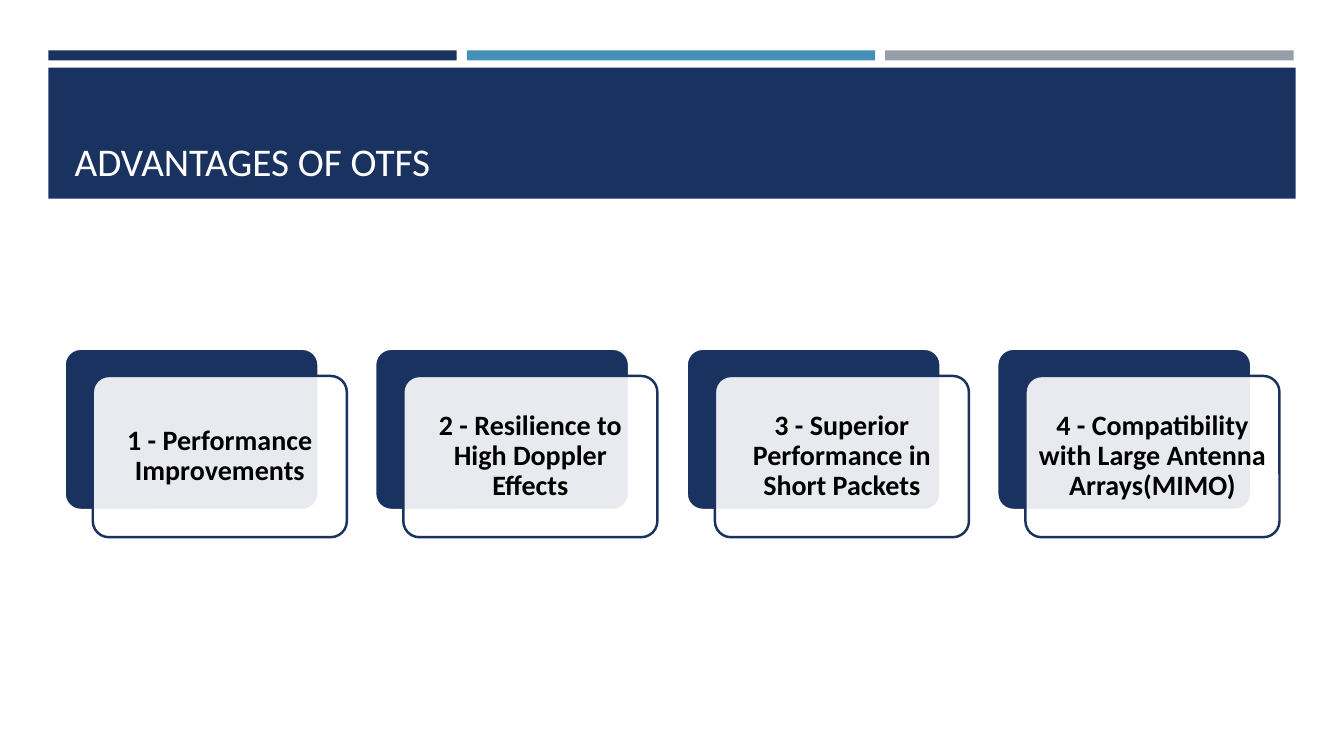
import lxml.etree
import pptx
import pptx.dml.color
import pptx.enum.shapes
import pptx.enum.text
import pptx.oxml.ns
import pptx.util

PX = 9144
COLORS = {"navy": "1A3260", "blue": "4590B8", "gray": "969FA7",
          "white": "FFFFFF", "title": "FFFEFF", "black": "000000"}
SHAPE = pptx.enum.shapes.MSO_SHAPE
ALIGN = pptx.enum.text.PP_ALIGN
ANCHOR = pptx.enum.text.MSO_ANCHOR
ADVANTAGES = [
    "1 - Performance Improvements",
    "2 - Resilience to High Doppler Effects",
    "3 - Superior Performance in Short Packets",
    "4 - Compatibility with Large Antenna Arrays(MIMO)",
]


def rgb(name):
    """Return the named colour."""
    return pptx.dml.color.RGBColor.from_string(COLORS[name])


def set_all(obj, values):
    """Set each attribute in the dict on the object."""
    for name, value in values.items():
        setattr(obj, name, value)


def add_box(shapes, kind, box, fill, line=None):
    """Add a filled shape at a px box, outlined if a line colour is given."""
    sp = shapes.add_shape(kind, *(v * PX for v in box))
    sp.shadow.inherit = False
    sp.fill.solid()
    sp.fill.fore_color.rgb = rgb(fill)
    if line:
        sp.line.color.rgb = rgb(line)
        sp.line.width = pptx.util.Pt(1.75)
    else:
        sp.line.fill.background()
    return sp


def write(sp, text, color, frame, para, font):
    """Write one formatted paragraph into a shape."""
    tf = sp.text_frame
    set_all(tf, {"word_wrap": True, **frame})
    p = tf.paragraphs[0]
    set_all(p, para)
    r = p.add_run()
    r.text = text
    set_all(r.font, {"name": "Calibri", **font})
    r.font.color.rgb = rgb(color)


def add_header(s, box):
    """Place three accent bars above the title band in the box."""
    x, y, w, h = box
    gap, bar_h, band_top = 10, 10, 17
    bar_w = (w - 2 * gap) // 3
    for i, color in enumerate(("navy", "blue", "gray")):
        add_box(s.shapes, SHAPE.RECTANGLE,
                (x + i * (bar_w + gap), y, bar_w, bar_h), color)
    add_box(s.shapes, SHAPE.RECTANGLE, (x, y + band_top, w, h - band_top), "navy")
    title = s.shapes.title
    s.shapes.element.append(title.element)
    set_all(title, {"left": (x + 16) * PX, "top": (y + 27) * PX,
                    "width": (w - 31) * PX, "height": 111 * PX})
    write(title, "ADVANTAGES OF OTFS", "title",
          {"vertical_anchor": ANCHOR.BOTTOM,
           "auto_size": pptx.enum.text.MSO_AUTO_SIZE.NONE},
          {"alignment": ALIGN.LEFT}, {"size": pptx.util.Pt(28)})


def add_card(shapes, box, text):
    """Place a translucent text card over a solid one, offset within the box."""
    x, y, w, h = box
    dx, dy = 28, 27
    size = (w - dx, h - dy)
    back = add_box(shapes, SHAPE.ROUNDED_RECTANGLE, (x, y, *size), "navy", "white")
    front = add_box(shapes, SHAPE.ROUNDED_RECTANGLE,
                    (x + dx, y + dy, *size), "white", "navy")
    for sp in (back, front):
        sp.adjustments[0] = 0.1
    qn = pptx.oxml.ns.qn
    clr = front.element.spPr.find(qn("a:solidFill"))[0]
    lxml.etree.SubElement(clr, qn("a:alpha")).set("val", "90000")
    sides = ("left", "top", "right", "bottom")
    write(front, text, "black",
          {"vertical_anchor": ANCHOR.MIDDLE,
           **{f"margin_{side}": 8 * PX for side in sides}},
          {"alignment": ALIGN.CENTER, "line_spacing": 0.9},
          {"size": pptx.util.Pt(20), "bold": True})


def add_cards(s, box):
    """Spread the advantage cards evenly across the box."""
    x, y, w, h = box
    card_w = 280
    step = (w - card_w) / (len(ADVANTAGES) - 1)
    group = s.shapes.add_group_shape()
    for i, text in enumerate(ADVANTAGES):
        add_card(group.shapes, (round(x + i * step), y, card_w, h), text)


def main():
    """Build and save the slide."""
    prs = pptx.Presentation()
    set_all(prs, {"slide_width": 1333 * PX, "slide_height": 750 * PX})
    s = prs.slides.add_slide(prs.slide_layouts[5])
    add_header(s, (48, 50, 1237, 147))
    add_cards(s, (64, 346, 1205, 187))
    prs.save("out.pptx")


if __name__ == "__main__":
    main()
